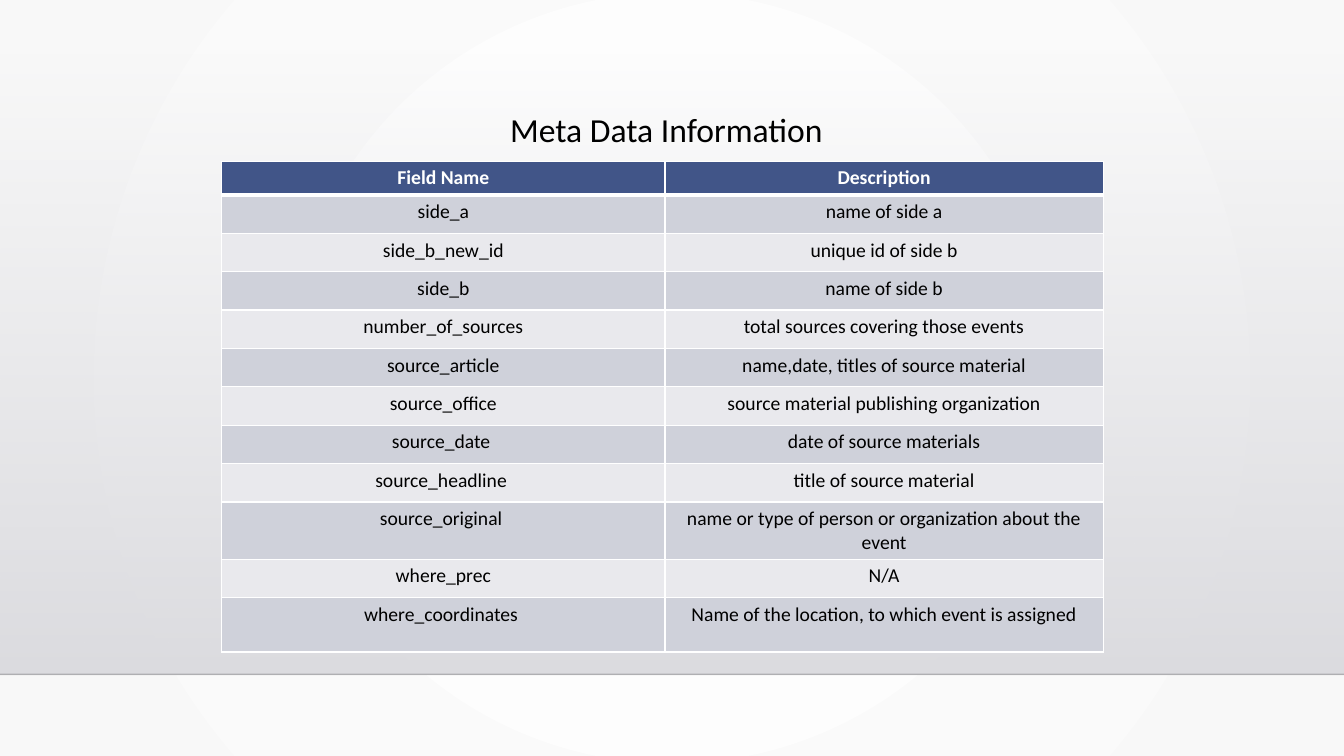
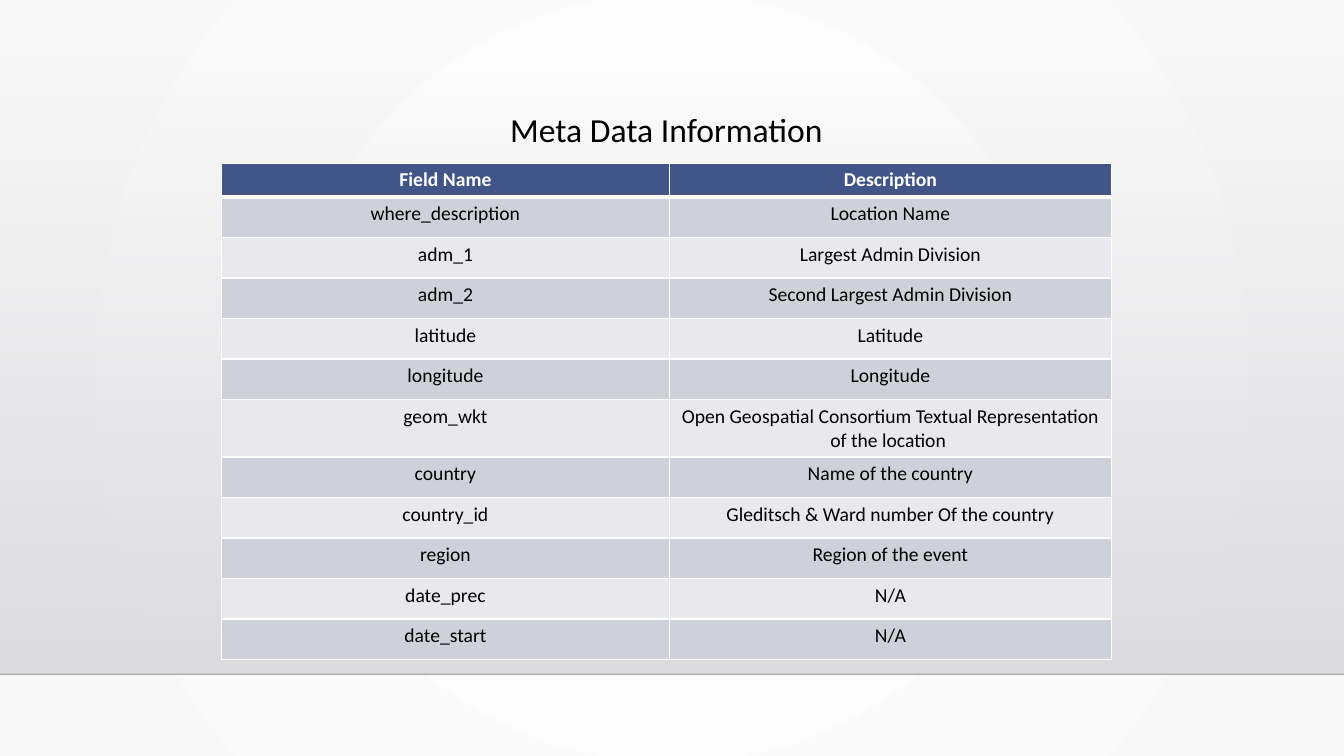
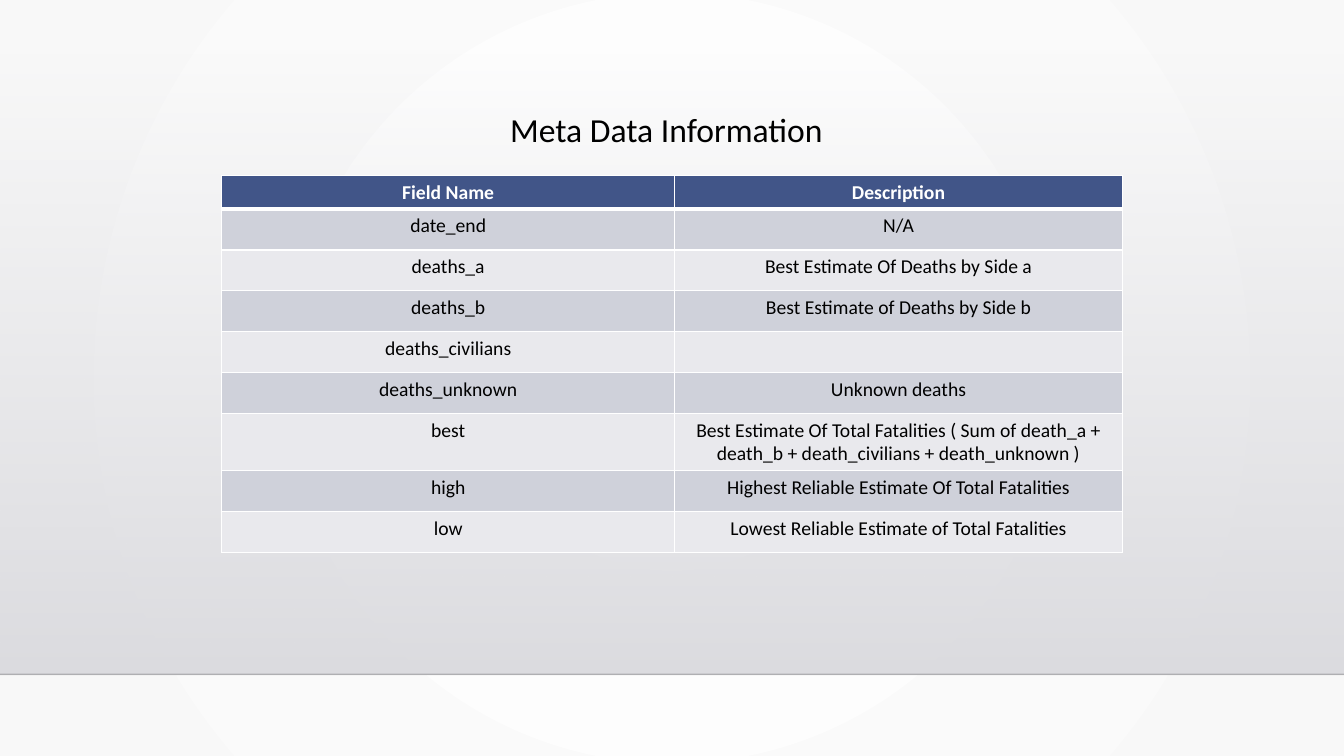
from dataclasses import dataclass

from lxml import etree
from pptx import Presentation
from pptx.dml.color import RGBColor
from pptx.dml.fill import FillFormat
from pptx.enum import shapes, text
from pptx.oxml import ns
from pptx.slide import Slide
from pptx.table import _Cell
from pptx.util import Pt

WHITE = RGBColor(0xFF, 0xFF, 0xFF)
BLACK = RGBColor(0, 0, 0)
PAPER = RGBColor(0xF8, 0xF8, 0xF8)
BAND_TOP_COLOR = RGBColor(0xDC, 0xDC, 0xE0)
BAND_END_COLOR = RGBColor(0xDD, 0xDD, 0xE1)
RULE_COLOR = RGBColor(0, 0, 1)
HEADER_FILL = RGBColor(0x41, 0x55, 0x88)
ROW_FILLS = (RGBColor(0xCF, 0xD1, 0xDA), RGBColor(0xE9, 0xE9, 0xED))

FONT = "Calibri"
TITLE = "Meta Data Information"
HEADER = ("Field Name", "Description")
SLIDE_WIDTH, SLIDE_HEIGHT = 960, 540
BAND_TOP, BAND_BOTTOM = 36.72, 481.68
TABLE_LEFT = 158.4
HEADER_HEIGHT = 24
COLUMN_DIFFERENCE = 3.5


@dataclass(frozen=True)
class Field:
    name: str
    description: str
    height: float | None = None


@dataclass(frozen=True)
class FieldTable:
    top: float
    name_width: float
    row_height: float
    fields: tuple[Field, ...]


TABLES = (
    FieldTable(115.2, 316.6, 27.43, (
        Field("side_a", "name of side a"),
        Field("side_b_new_id", "unique id of side b"),
        Field("side_b", "name of side b"),
        Field("number_of_sources", "total sources covering those events"),
        Field("source_article", "name,date, titles of source material"),
        Field("source_office", "source material publishing organization"),
        Field("source_date ", "date of source materials"),
        Field("source_headline ", "title of source material"),
        Field("source_original ", "name or type of person or organization about the event", 39),
        Field("where_prec", "N/A"),
        Field("where_coordinates ", "Name of the location, to which event is assigned", 39),
    )),
    FieldTable(116.64, 319.6, 28.95, (
        Field("where_description", "Location Name"),
        Field("adm_1", "Largest Admin Division"),
        Field("adm_2", "Second Largest Admin Division"),
        Field("latitude", "Latitude"),
        Field("longitude", "Longitude"),
        Field("geom_wkt",
              "Open Geospatial Consortium Textual Representation of the location ", 41),
        Field("country", "Name of the country"),
        Field("country_id", "Gleditsch & Ward number Of the country"),
        Field("region", "Region of the event"),
        Field("date_prec", "N/A"),
        Field("date_start", "N/A"),
    )),
    FieldTable(125.28, 323.5, 29.2, (
        Field("date_end", "N/A"),
        Field("deaths_a", "Best Estimate Of Deaths by Side a"),
        Field("deaths_b", "Best Estimate of Deaths by Side b"),
        Field("deaths_civilians", ""),
        Field("deaths_unknown", "Unknown deaths"),
        Field("best", "Best Estimate Of Total Fatalities "
              "( Sum of death_a + death_b + death_civilians + death_unknown )"),
        Field("high", "Highest Reliable Estimate Of Total Fatalities"),
        Field("low", "Lowest Reliable Estimate of Total Fatalities"),
    )),
)


def add_element(parent: etree._Element, tag: str, **attributes: str) -> etree._Element:
    return etree.SubElement(parent, ns.qn(tag), attributes)


def set_opacity(element: etree._Element, percent: int) -> None:
    """Give the first RGB colour inside the element this opacity."""
    color = next(element.iter(ns.qn("a:srgbClr")))
    add_element(color, "a:alpha", val=str(percent * 1000))


def set_gradient(fill: FillFormat, first: RGBColor, last: RGBColor) -> None:
    """Apply a two-stop gradient running from top to bottom."""
    fill.gradient()
    fill.gradient_angle = 270
    for stop, position, color in zip(fill.gradient_stops, (0, 1), (first, last)):
        stop.position = position
        stop.color.rgb = color


def set_background(presentation: Presentation) -> None:
    background = presentation.slide_master.background
    set_gradient(background.fill, WHITE, PAPER)
    master = presentation.slide_master.element
    linear = next(master.iter(ns.qn("a:lin")))
    gradient = linear.getparent()
    gradient.remove(linear)
    circle = add_element(gradient, "a:path", path="circle")
    add_element(circle, "a:fillToRect", l="50000", t="50000", r="50000", b="50000")


def add_band(slide: Slide) -> None:
    band = slide.shapes.add_shape(
        shapes.MSO_SHAPE.RECTANGLE, 0, Pt(BAND_TOP), Pt(SLIDE_WIDTH), Pt(BAND_BOTTOM - BAND_TOP))
    band.shadow.inherit = False
    band.line.fill.background()
    set_gradient(band.fill, BAND_TOP_COLOR, BAND_END_COLOR)
    set_opacity(band.element.spPr, 0)

    rule = slide.shapes.add_connector(
        shapes.MSO_CONNECTOR.STRAIGHT, 0, Pt(BAND_BOTTOM), Pt(SLIDE_WIDTH), Pt(BAND_BOTTOM))
    rule.line.width = Pt(1)
    rule.line.color.rgb = RULE_COLOR
    set_opacity(rule.element.spPr, 20)
    add_element(rule.element.spPr, "a:effectLst")


def set_text(frame: text.MSO_ANCHOR, content: str, size: float, color: RGBColor,
             bold: bool = False) -> None:
    """Fill a text frame with one centred paragraph."""
    frame.text = content
    paragraph = frame.paragraphs[0]
    paragraph.alignment = text.PP_ALIGN.CENTER
    for run in paragraph.runs:
        run.font.name = FONT
        run.font.size = Pt(size)
        run.font.bold = bold
        run.font.color.rgb = color


def add_title(slide: Slide) -> None:
    title = slide.shapes.add_textbox(Pt(98), Pt(77.8), Pt(756), Pt(48))
    title.text_frame.word_wrap = True
    set_text(title.text_frame, TITLE, 24, BLACK)
    title.text_frame.paragraphs[0].line_spacing = 0.9


def set_borders(cell: _Cell, top: float, bottom: float) -> None:
    properties = cell._tc.get_or_add_tcPr()
    for side, width in (("L", 1), ("R", 1), ("T", top), ("B", bottom)):
        border = add_element(properties, f"a:ln{side}", w=str(Pt(width)))
        fill = add_element(border, "a:solidFill")
        add_element(fill, "a:srgbClr", val=str(WHITE))


def add_field_table(slide: Slide, layout: FieldTable) -> None:
    widths = (layout.name_width, layout.name_width - COLUMN_DIFFERENCE)
    rows = (Field(*HEADER, HEADER_HEIGHT), *layout.fields)
    heights = [row.height or layout.row_height for row in rows]
    table = slide.shapes.add_table(
        len(rows), len(widths), Pt(TABLE_LEFT), Pt(layout.top),
        Pt(sum(widths)), Pt(sum(heights))).table
    for column, width in zip(table.columns, widths):
        column.width = Pt(width)
    for index, (row, height) in enumerate(zip(rows, heights)):
        is_header = index == 0
        table.rows[index].height = Pt(height)
        for cell, content in zip(table.rows[index].cells, (row.name, row.description)):
            set_borders(cell, top=3 if index == 1 else 1, bottom=3 if is_header else 1)
            cell.fill.solid()
            cell.fill.fore_color.rgb = HEADER_FILL if is_header else ROW_FILLS[(index - 1) % 2]
            set_text(cell.text_frame, content, 14, WHITE if is_header else BLACK, is_header)


def main() -> None:
    presentation = Presentation()
    presentation.slide_width = Pt(SLIDE_WIDTH)
    presentation.slide_height = Pt(SLIDE_HEIGHT)
    set_background(presentation)
    for layout in TABLES:
        slide = presentation.slides.add_slide(presentation.slide_layouts[6])
        add_band(slide)
        add_title(slide)
        add_field_table(slide, layout)
    presentation.save("out.pptx")


if __name__ == "__main__":
    main()
